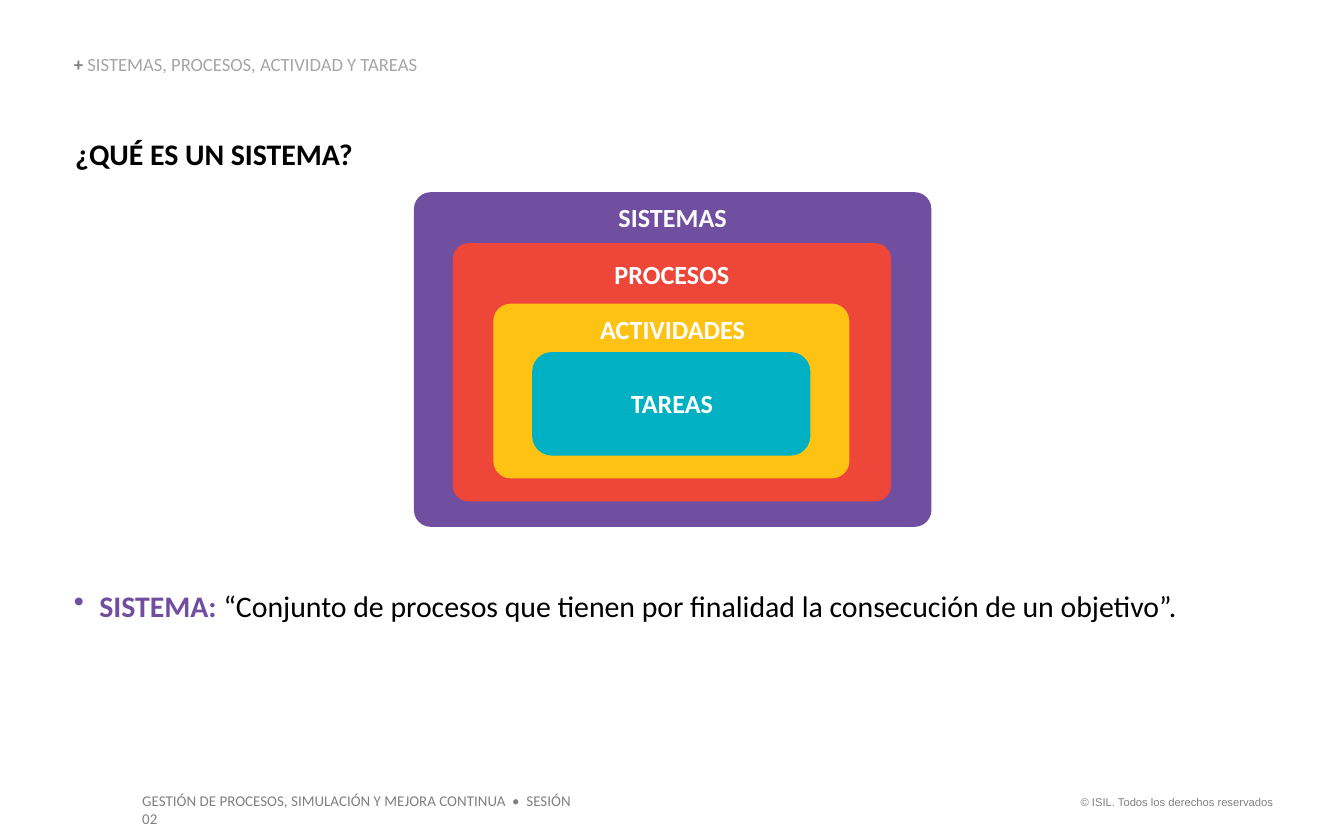
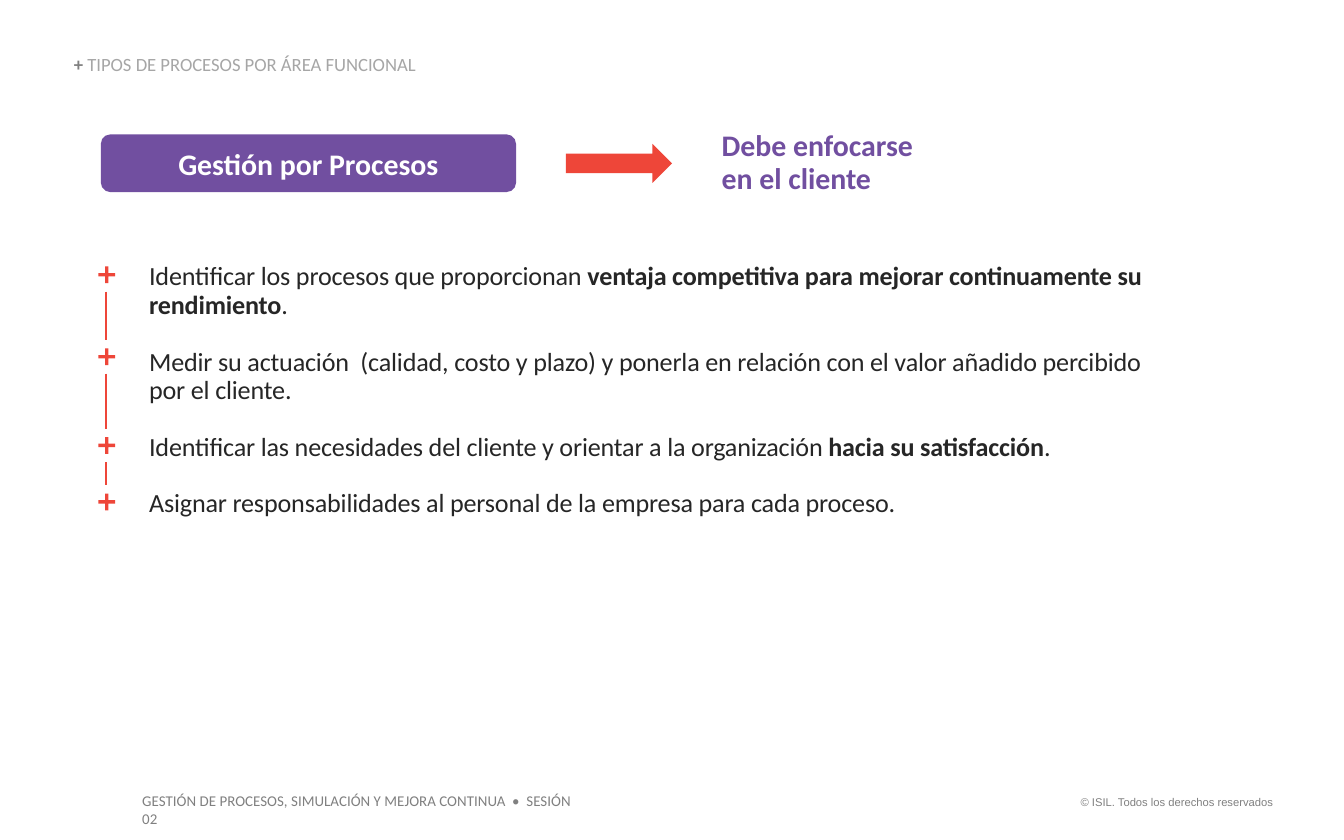
from dataclasses import dataclass
from itertools import pairwise
from typing import NamedTuple

import lxml.etree
import pptx
import pptx.dml.color
import pptx.enum.shapes
import pptx.enum.text
import pptx.oxml.ns
import pptx.presentation
import pptx.shapes.autoshape
import pptx.slide
import pptx.text.text
import pptx.util

PX = 9144
Align = pptx.enum.text.PP_ALIGN
Anchor = pptx.enum.text.MSO_ANCHOR
Preset = pptx.enum.shapes.MSO_SHAPE


@dataclass(frozen=True)
class Theme:
    purple: str = "714FA0"
    red: str = "EE4639"
    yellow: str = "FEC212"
    teal: str = "00B1C3"
    white: str = "FFFFFF"
    black: str = "000000"
    body: str = "262626"
    muted: str = "808080"
    pale: str = "A6A6A6"
    font: str = "Calibri"
    legal_font: str = "Arial"
    legal_size: int = 6
    footer_size: int = 8
    header_size: int = 10
    body_size: int = 14
    heading_size: int = 16
    tight: float = 0.9
    body_gap: float = 15.3
    body_tracking: int = -10


THEME = Theme()


class Box(NamedTuple):
    left: int
    top: int
    width: int
    height: int


class Span(NamedTuple):
    text: str
    color: str
    size: int
    bold: bool = False
    font: str = THEME.font
    tracking: int = 0


@dataclass(frozen=True)
class Layer:
    label: str
    color: str
    box: Box
    corner: float
    label_top: int
    label_width: int


@dataclass(frozen=True)
class Guideline:
    mark_top: int
    spans: tuple[Span, ...]


def body(text: str, bold: bool = False) -> Span:
    return Span(text, THEME.body, THEME.body_size, bold, tracking=THEME.body_tracking)


def heading(text: str, color: str) -> Span:
    return Span(text, color, THEME.heading_size, True)


LAYERS = (
    Layer("SISTEMAS", THEME.purple, Box(308, 143, 385, 249), 0.05, 150, 81),
    Layer("PROCESOS", THEME.red, Box(337, 181, 326, 192), 0.06, 192, 86),
    Layer("ACTIVIDADES", THEME.yellow, Box(367, 226, 265, 130), 0.1, 233, 109),
    Layer("TAREAS", THEME.teal, Box(396, 262, 207, 77), 0.19, 288, 62),
)

GUIDELINES = (
    Guideline(196, (
        body("Identificar los procesos que proporcionan "),
        body("ventaja competitiva para mejorar continuamente su rendimiento", True),
        body("."),
    )),
    Guideline(257, (
        body("Medir su actuación  (calidad, costo y plazo) y ponerla en relación "
             "con el valor añadido percibido por el cliente."),
    )),
    Guideline(323, (
        body("Identificar las necesidades del cliente y orientar a la organización "),
        body("hacia su satisfacción", True),
        body("."),
    )),
    Guideline(365, (
        body("Asignar responsabilidades al personal de la empresa para cada proceso."),
    )),
)


def rgb(color: str) -> pptx.dml.color.RGBColor:
    return pptx.dml.color.RGBColor.from_string(color)


def emu(box: Box) -> tuple[int, ...]:
    return tuple(length * PX for length in box)


def write(paragraph: pptx.text.text._Paragraph, *spans: Span) -> None:
    for span in spans:
        run = paragraph.add_run()
        run.text = span.text
        run.font.name = span.font
        run.font.size = pptx.util.Pt(span.size)
        run.font.bold = span.bold
        run.font.color.rgb = rgb(span.color)
        if span.tracking:
            run.font._element.set("spc", str(span.tracking))


def indent(paragraph: pptx.text.text._Paragraph, margin: int, first: int = 0,
           bullet: str = "") -> None:
    properties = paragraph._p.get_or_add_pPr()
    properties.set("marL", str(margin * PX))
    properties.set("indent", str(first * PX))
    if bullet:
        mark = lxml.etree.SubElement(properties, pptx.oxml.ns.qn("a:buChar"))
        mark.set("char", bullet)


def add_text(slide: pptx.slide.Slide, box: Box, *spans: Span, wrap: bool = True,
             inset: bool = False, align: Align = Align.LEFT,
             anchor: Anchor = Anchor.TOP) -> pptx.text.text.TextFrame:
    frame = slide.shapes.add_textbox(*emu(box)).text_frame
    frame.word_wrap = wrap
    frame.vertical_anchor = anchor
    if not inset:
        frame.margin_left = frame.margin_right = 0
        frame.margin_top = frame.margin_bottom = 0
    frame.paragraphs[0].alignment = align
    write(frame.paragraphs[0], *spans)
    return frame


def add_block(slide: pptx.slide.Slide, preset: Preset, box: Box, color: str,
              corner: float | None = None) -> pptx.shapes.autoshape.Shape:
    block = slide.shapes.add_shape(preset, *emu(box))
    block.shadow.inherit = False
    block.fill.solid()
    block.fill.fore_color.rgb = rgb(color)
    block.line.fill.background()
    if corner is not None:
        block.adjustments[0] = corner
    return block


def add_link(slide: pptx.slide.Slide, x: int, top: int, bottom: int) -> None:
    link = slide.shapes.add_connector(
        pptx.enum.shapes.MSO_CONNECTOR.STRAIGHT, x * PX, top * PX, x * PX, bottom * PX)
    link.line.color.rgb = rgb(THEME.red)
    link.line.width = pptx.util.Pt(1)
    lxml.etree.SubElement(link._element.spPr, pptx.oxml.ns.qn("a:effectLst"))


def start_slide(deck: pptx.presentation.Presentation, topic: str) -> pptx.slide.Slide:
    slide = deck.slides.add_slide(deck.slide_layouts[6])
    add_text(slide, Box(788, 587, 169, 20),
             Span("© ISIL. Todos los derechos reservados", THEME.muted,
                  THEME.legal_size, font=THEME.legal_font),
             wrap=False, inset=True, align=Align.RIGHT)
    add_text(slide, Box(96, 584, 345, 24),
             Span("GESTIÓN DE PROCESOS, SIMULACIÓN Y MEJORA CONTINUA  •  SESIÓN 02",
                  THEME.muted, THEME.footer_size), inset=True)
    header = add_text(slide, Box(55, 41, 309, 15),
                      Span("+ ", THEME.muted, THEME.header_size, True),
                      Span(topic, THEME.pale, THEME.header_size),
                      anchor=Anchor.BOTTOM)
    header.paragraphs[0].line_spacing = THEME.tight
    return slide


def build_system_slide(deck: pptx.presentation.Presentation) -> None:
    slide = start_slide(deck, "SISTEMAS, PROCESOS, ACTIVIDAD Y TAREAS")
    add_text(slide, Box(56, 101, 209, 27),
             heading("¿QUÉ ES UN SISTEMA?", THEME.black), wrap=False)
    definition = add_text(
        slide, Box(55, 437, 884, 27), heading("SISTEMA: ", THEME.purple),
        Span("“Conjunto de procesos que tienen por finalidad la consecución de un objetivo”.",
             THEME.black, THEME.heading_size))
    indent(definition.paragraphs[0], 19, -19, "•")
    for layer in LAYERS:
        add_block(slide, Preset.ROUNDED_RECTANGLE, layer.box, layer.color, layer.corner)
    for layer in LAYERS:
        label_box = Box(500 - layer.label_width // 2, layer.label_top, layer.label_width, 24)
        add_text(slide, label_box, Span(layer.label, THEME.white, THEME.body_size, True),
                 wrap=False, align=Align.CENTER)


def build_management_slide(deck: pptx.presentation.Presentation) -> None:
    slide = start_slide(deck, "TIPOS DE PROCESOS POR ÁREA FUNCIONAL")
    management = add_block(slide, Preset.ROUNDED_RECTANGLE, Box(75, 100, 309, 43), THEME.purple)
    management.text_frame.vertical_anchor = Anchor.MIDDLE
    management_line = management.text_frame.paragraphs[0]
    management_line.alignment = Align.CENTER
    write(management_line, heading("Gestión por Procesos", THEME.white))
    add_block(slide, Preset.RIGHT_ARROW, Box(421, 107, 79, 29), THEME.red)

    focus = add_text(slide, Box(537, 100, 187, 43),
                     heading("Debe enfocarse ", THEME.purple), anchor=Anchor.MIDDLE)
    focus_line = focus.paragraphs[0]
    focus_line.line_spacing = THEME.tight
    focus_line.add_line_break()
    write(focus_line, heading("en el cliente", THEME.purple))

    guide = add_text(slide, Box(110, 196, 754, 212))
    for position, guideline in enumerate(GUIDELINES):
        paragraph = guide.add_paragraph() if position else guide.paragraphs[0]
        indent(paragraph, 1)
        paragraph.line_spacing = THEME.tight
        if position:
            paragraph.space_before = pptx.util.Pt(THEME.body_gap)
        write(paragraph, *guideline.spans)

    mark_left, mark_size, link_gap = 71, 17, 4
    for guideline in GUIDELINES:
        add_block(slide, Preset.MATH_PLUS,
                  Box(mark_left, guideline.mark_top, mark_size, mark_size), THEME.red, 0.15)
    for upper, lower in pairwise(GUIDELINES):
        add_link(slide, mark_left + mark_size // 2,
                 upper.mark_top + mark_size + link_gap, lower.mark_top - link_gap)


def main() -> None:
    deck = pptx.Presentation()
    deck.slide_width = 1000 * PX
    deck.slide_height = 625 * PX
    build_system_slide(deck)
    build_management_slide(deck)
    deck.save("out.pptx")


if __name__ == "__main__":
    main()
